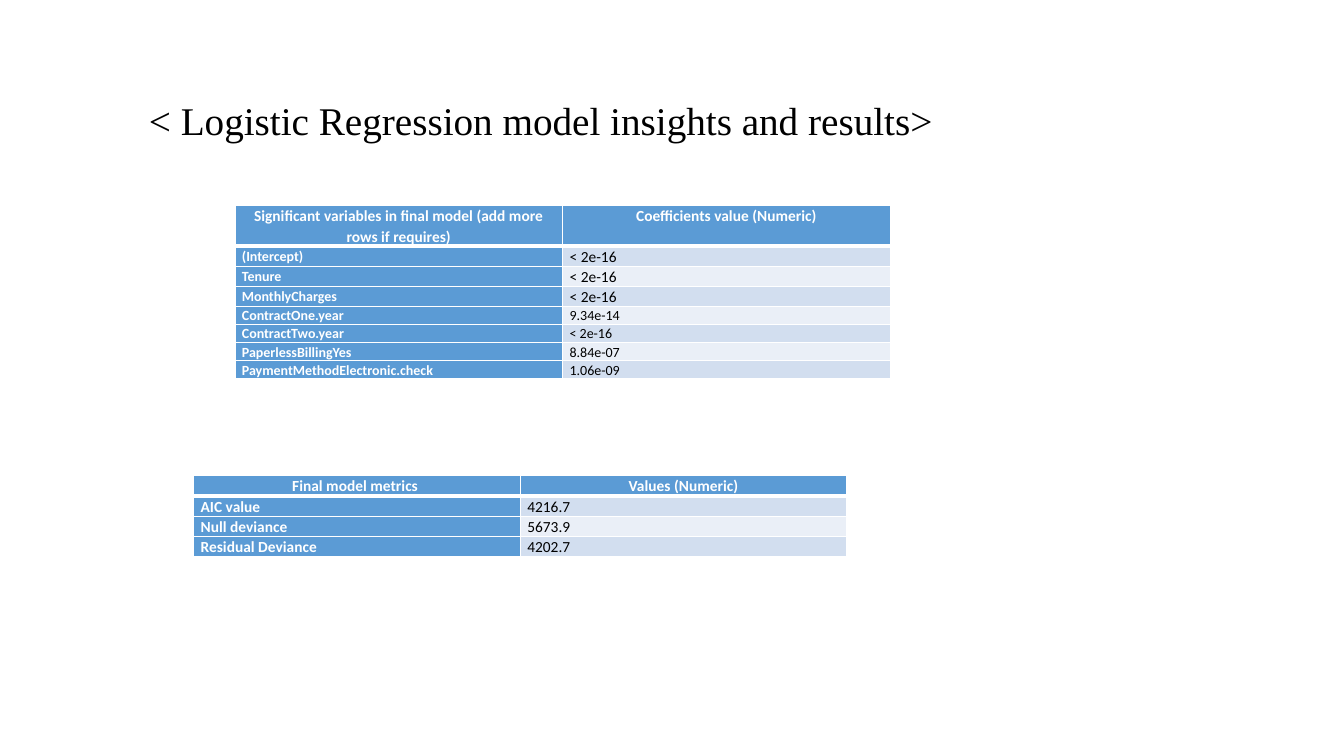
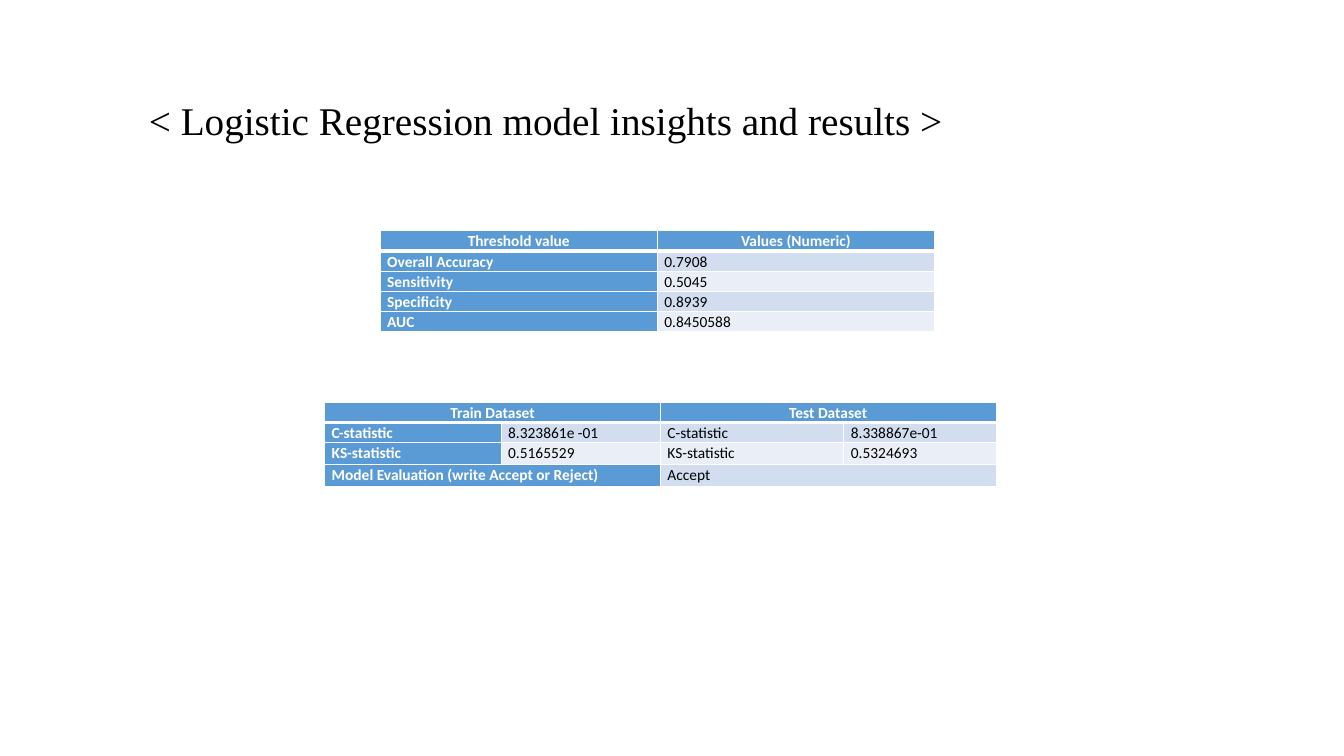
from lxml.etree import SubElement
from pptx import Presentation
from pptx.dml.color import RGBColor
from pptx.enum.text import MSO_ANCHOR, PP_ALIGN
from pptx.oxml.ns import qn
from pptx.util import Inches, Pt

WHITE = RGBColor(0xFF, 0xFF, 0xFF)
BLACK = RGBColor(0x00, 0x00, 0x00)
BLUE = RGBColor(0x5B, 0x9B, 0xD5)
BANDS = (RGBColor(0xD2, 0xDE, 0xEF), RGBColor(0xEA, 0xEF, 0xF7))
TITLE_FONT, TABLE_FONT = "Times New Roman", "Calibri"
TITLE_BOX = (1.24, 0.69, 10.19, 0.94)
LINE, SMALL_LINE = 0.2, 0.18  # row heights for one line of 11 and 10 points

# Each row is a list of texts; None continues the cell to its left.
COEFFICIENTS = [
    ["Significant variables in final model (add more rows if requires)",
     "Coefficients value (Numeric)"],
    ["(Intercept)", "< 2e-16"],
    ["Tenure", "< 2e-16"],
    ["MonthlyCharges", "< 2e-16"],
    ["ContractOne.year", "9.34e-14"],
    ["ContractTwo.year", "< 2e-16"],
    ["PaperlessBillingYes", "8.84e-07"],
    ["PaymentMethodElectronic.check", "1.06e-09"],
]
METRICS = [
    ["Final model metrics ", "Values (Numeric)"],
    ["AIC value", "4216.7"],
    ["Null deviance", "5673.9"],
    ["Residual Deviance", "4202.7"],
]
THRESHOLD = [
    ["Threshold value", "Values (Numeric)"],
    ["Overall Accuracy", "0.7908"],
    ["Sensitivity", "0.5045"],
    ["Specificity", "0.8939"],
    ["AUC", "0.8450588"],
]
DATASETS = [
    ["Train Dataset", None, "Test Dataset", None],
    ["C-statistic", "8.323861e -01", "C-statistic", "8.338867e-01"],
    ["KS-statistic", "0.5165529", "KS-statistic", "0.5324693"],
    ["Model Evaluation (write Accept or Reject)", None, "Accept", None],
]


def style_span(span, font, size, color, bold):
    """Set the font of one run."""
    span.font.name = font
    span.font.size = Pt(size)
    span.font.color.rgb = color
    span.font.bold = bold


def add_title(page, text, box=TITLE_BOX):
    """Write the slide title, led by one large space that sets its line height."""
    frame = page.shapes.add_textbox(*map(Inches, box)).text_frame
    frame.word_wrap = True
    frame.vertical_anchor = MSO_ANCHOR.MIDDLE
    para = frame.paragraphs[0]
    para.line_spacing = 0.9
    for words, size, bold in ((" ", 40, True), (text, 28, False)):
        span = para.add_run()
        span.text = words
        style_span(span, TITLE_FONT, size, BLACK, bold)


def set_borders(cell, row):
    """Draw white cell borders, with a thick line below the header row."""
    properties = cell._tc.get_or_add_tcPr()
    widths = {"L": 1, "R": 1, "T": 3 if row == 1 else 1, "B": 3 if row == 0 else 1}
    for position, (side, width) in enumerate(widths.items()):
        line = SubElement(properties, qn(f"a:ln{side}"), w=str(Pt(width)))
        fill = SubElement(line, qn("a:solidFill"))
        SubElement(fill, qn("a:srgbClr"), val=str(WHITE))
        properties.insert(position, line)


def style_cell(cell, row, column, size, anchor):
    """Format a cell as header, row label or banded value."""
    header = row == 0
    strong = header or column == 0
    cell.margin_left = cell.margin_right = Inches(0.07)
    cell.margin_top = cell.margin_bottom = 0
    cell.vertical_anchor = anchor
    cell.fill.solid()
    cell.fill.fore_color.rgb = BLUE if strong else BANDS[(row - 1) % 2]
    set_borders(cell, row)
    para = cell.text_frame.paragraphs[0]
    para.line_spacing = 1.07
    para.alignment = PP_ALIGN.CENTER if header else PP_ALIGN.LEFT
    for span in para.runs:
        style_span(span, TABLE_FONT, size, WHITE if strong else BLACK, strong)


def add_result_table(page, left, top, widths, heights, rows, small=(),
                     label_anchor=MSO_ANCHOR.TOP, value_anchor=MSO_ANCHOR.TOP):
    """Place a table at left, top; cells listed in small are set in 10 points."""
    table = page.shapes.add_table(
        len(rows), len(widths), Inches(left), Inches(top),
        Inches(sum(widths)), Inches(sum(heights))).table
    table.first_col = True
    for column, width in zip(table.columns, widths):
        column.width = Inches(width)
    for row, (texts, height) in enumerate(zip(rows, heights)):
        table.rows[row].height = Inches(height)
        for column, text in enumerate(texts):
            cell = table.cell(row, column)
            if text is None:
                table.cell(row, column - 1).merge(cell)
            else:
                cell.text_frame.text = text
            anchor = value_anchor if column else label_anchor
            if row == 0:
                anchor = MSO_ANCHOR.TOP
            style_cell(cell, row, column, 10 if (row, column) in small else 11, anchor)


def build_model_page(page):
    """Show the coefficients and the fit metrics of the final model."""
    add_title(page, "< Logistic Regression model insights and results>")
    last = len(COEFFICIENTS)
    small = {(row, 0) for row in range(1, last)} | {(row, 1) for row in range(4, last)}
    heights = [2 * LINE] + [LINE] * 3 + [SMALL_LINE] * (last - 4)
    add_result_table(page, 2.33, 2.04, [3.25] * 2, heights,
                     COEFFICIENTS, small, MSO_ANCHOR.MIDDLE, MSO_ANCHOR.BOTTOM)
    add_result_table(page, 1.92, 4.72, [3.24] * 2, [LINE] * len(METRICS), METRICS)


def build_evaluation_page(page):
    """Show the threshold results and the train and test statistics."""
    add_result_table(page, 3.22, 3.99, [1.75, 1.58, 1.82, 1.51],
                     [LINE, LINE, 0.22, 0.22], DATASETS)
    add_title(page, "< Logistic Regression model insights and results >")
    add_result_table(page, 3.77, 2.29, [2.75] * 2, [LINE] * len(THRESHOLD), THRESHOLD)


def main():
    """Build and save the deck."""
    deck = Presentation()
    deck.slide_width, deck.slide_height = Inches(13.33), Inches(7.5)
    for build in (build_model_page, build_evaluation_page):
        build(deck.slides.add_slide(deck.slide_layouts[6]))
    deck.save("out.pptx")


main()
